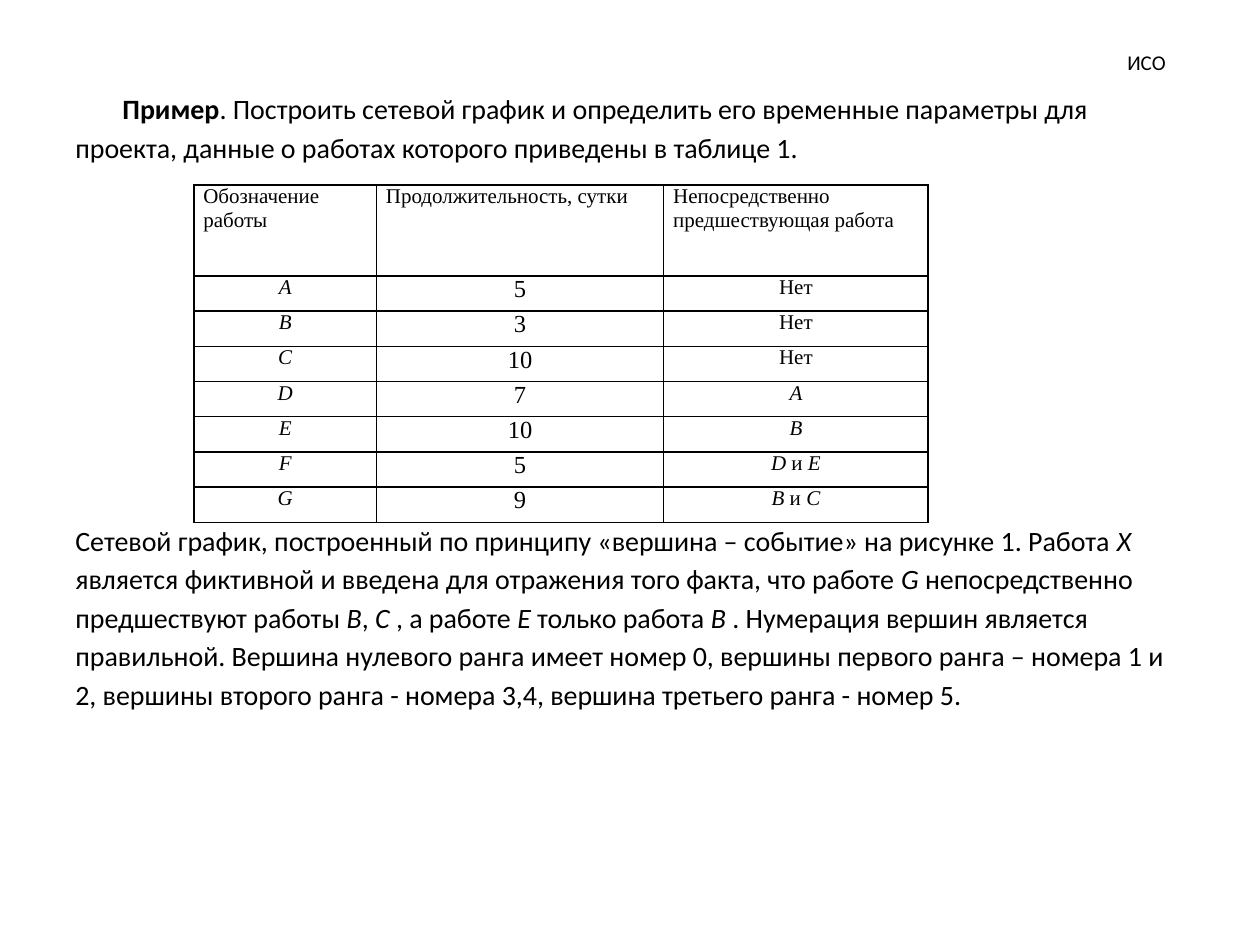
import pptx
import pptx.dml.color
import pptx.enum.text
import pptx.oxml
import pptx.oxml.ns
import pptx.util

Cm, Pt = pptx.util.Cm, pptx.util.Pt
ALIGN = pptx.enum.text.PP_ALIGN
ANCHOR = pptx.enum.text.MSO_ANCHOR
COLORS = {"text": "000000", "border": "000000", "background": "FFFFFF"}

HEADER = {"name": "Calibri", "size": Pt(12)}
BODY = {"name": "Calibri", "size": Pt(16)}
CELL = {"name": "Times New Roman", "size": Pt(12)}
DURATION = {"name": "Times New Roman", "size": Pt(14)}

# Text between asterisks is italic.
CONCLUSION = [
    "Сетевой график, построенный по принципу «вершина – событие» на рисунке 1. Работа *X*",
    "является фиктивной и введена для отражения того факта, что работе *G* непосредственно",
    "предшествуют работы *B*, *C* , а работе *E* только работа *B* . Нумерация вершин является",
    "правильной. Вершина нулевого ранга имеет номер 0, вершины первого ранга – номера 1 и",
    "2, вершины второго ранга - номера 3,4, вершина третьего ранга - номер 5.",
]
JOBS = [
    ("Обозначение работы", "Продолжительность, сутки", "Непосредственно предшествующая работа"),
    ("*A*", "5", "Нет"),
    ("*B*", "3", "Нет"),
    ("*C*", "10", "Нет"),
    ("*D*", "7", "*A*"),
    ("*E*", "10", "*B*"),
    ("*F*", "5", "*D* и *E*"),
    ("*G*", "9", "*B* и *C*"),
]
COLUMN_WIDTHS = (3.68, 5.79, 5.33)
HEAD_HEIGHT, ROW_HEIGHT = 1.83, 0.71


def rgb(name):
    return pptx.dml.color.RGBColor.from_string(COLORS[name])


def add_run(p, text, font, **extra):
    r = p.add_run()
    r.text = text
    for key, value in {**font, **extra}.items():
        setattr(r.font, key, value)
    r.font.color.rgb = rgb("text")


def add_marked_text(p, text, font):
    """Add runs, switching italic on and off at each asterisk."""
    for i, part in enumerate(text.split("*")):
        if part:
            add_run(p, part, font, italic=i % 2 == 1)


def add_text_box(s, left, top, width, height, anchor=ANCHOR.TOP):
    tf = s.shapes.add_textbox(Cm(left), Cm(top), Cm(width), Cm(height)).text_frame
    tf.word_wrap = True
    tf.vertical_anchor = anchor
    return tf


def add_lines(tf, lines):
    for i, line in enumerate(lines):
        p = tf.add_paragraph() if i else tf.paragraphs[0]
        if i:
            p.space_before = Pt(2.9)
        add_marked_text(p, line, BODY)


def set_borders(cell):
    tc_pr = cell._tc.get_or_add_tcPr()
    for i, side in enumerate(("lnL", "lnR", "lnT", "lnB")):
        tc_pr.insert(i, pptx.oxml.parse_xml(
            f'<a:{side} {pptx.oxml.ns.nsdecls("a")} w="{Pt(1)}"><a:solidFill>'
            f'<a:srgbClr val="{COLORS["border"]}"/></a:solidFill></a:{side}>'))


def fill_cell(cell, text, font, align):
    margins = {"margin_left": Cm(0.19), "margin_right": Cm(0.19),
               "margin_top": 0, "margin_bottom": 0}
    for key, value in margins.items():
        setattr(cell, key, value)
    cell.fill.background()
    set_borders(cell)
    p = cell.text_frame.paragraphs[0]
    p.alignment = align
    add_marked_text(p, text, font)


def add_job_table(s, left, top):
    height = HEAD_HEIGHT + ROW_HEIGHT * (len(JOBS) - 1)
    table = s.shapes.add_table(len(JOBS), len(COLUMN_WIDTHS), Cm(left), Cm(top),
                               Cm(sum(COLUMN_WIDTHS)), Cm(height)).table
    table.first_row = table.horz_banding = False
    for column, width in zip(table.columns, COLUMN_WIDTHS):
        column.width = Cm(width)
    for i, job in enumerate(JOBS):
        table.rows[i].height = Cm(ROW_HEIGHT if i else HEAD_HEIGHT)
        for j, text in enumerate(job):
            font = DURATION if i and j == 1 else CELL
            fill_cell(table.cell(i, j), text, font, ALIGN.CENTER if i else ALIGN.JUSTIFY)


def main():
    prs = pptx.Presentation()
    prs.slide_width, prs.slide_height = Cm(25.4), Cm(19.05)
    s = prs.slides.add_slide(prs.slide_layouts[6])
    s.background.fill.solid()
    s.background.fill.fore_color.rgb = rgb("background")

    p = add_text_box(s, 22.1, 0.76, 2.03, 0.97, ANCHOR.MIDDLE).paragraphs[0]
    p.alignment = ALIGN.CENTER
    add_run(p, "ИСО", HEADER)

    tf = add_text_box(s, 1.27, 1.73, 22.86, 1.9)
    p = tf.paragraphs[0]
    p._p.get_or_add_pPr().set("indent", str(Cm(0.95)))
    add_run(p, "Пример", BODY, bold=True)
    add_lines(tf, [". Построить сетевой график и определить его временные параметры для",
                   "проекта, данные о работах которого приведены в таблице 1."])

    add_job_table(s, 3.91, 3.73)
    add_lines(add_text_box(s, 1.27, 10.42, 22.86, 4.3), CONCLUSION)
    prs.save("out.pptx")


if __name__ == "__main__":
    main()
